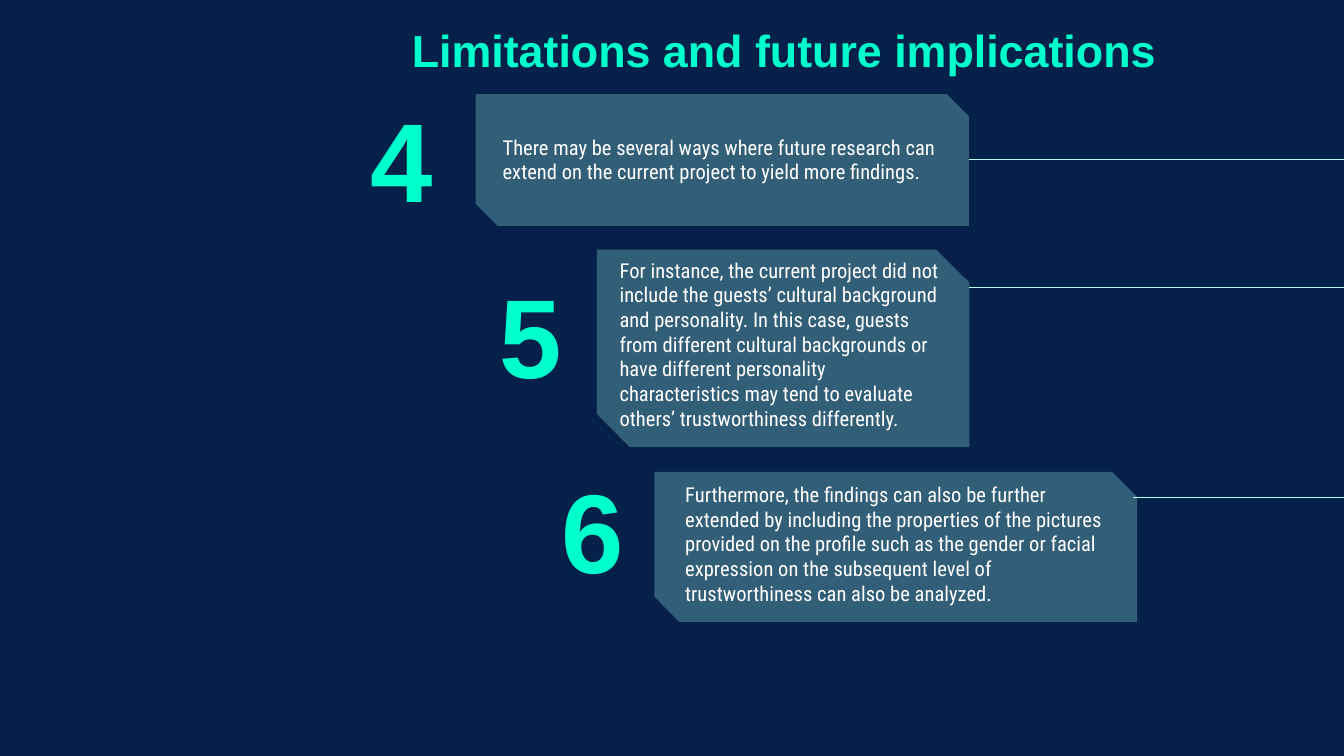
from lxml import etree
from pptx import Presentation
from pptx import util as u
from pptx.dml import color
from pptx.enum import shapes, text
from pptx.oxml import ns

MINT, AQUA, WHITE, NAVY = "00FFCD", "AAFFEE", "FFFFFF", "05214A"
WIDTH, HEIGHT = 25.4, 14.29
NUMBER_HEIGHT, BODY_HEIGHT = 2.11, 0.94
TOP, MIDDLE = text.MSO_ANCHOR.TOP, text.MSO_ANCHOR.MIDDLE
LEFT, CENTER, RIGHT = text.PP_ALIGN.LEFT, text.PP_ALIGN.CENTER, text.PP_ALIGN.RIGHT

HEADING = {"name": "Arial", "size": u.Pt(24), "bold": True}
NUMBER = {"name": "Arial", "size": u.Pt(60), "bold": True}
BODY = {"name": "Roboto Condensed", "size": u.Pt(11), "bold": False}

POINTS = [
    {
        "number": "4",
        "number_box": (4.06, 1.93, 4.37),
        "card": (8.99, 1.78, 9.32, 2.49),
        "body_box": (9.25, 2.54, 9.07),
        "anchor": MIDDLE,
        "line": (18.31, 3.01),
        "body": "There may be several ways where future research can extend on the "
                "current project to yield more findings.",
    },
    {
        "number": "5",
        "number_box": (5.97, 5.26, 4.9),
        "card": (11.28, 4.72, 7.04, 3.73),
        "body_box": (11.46, 4.62, 6.65),
        "anchor": TOP,
        "line": (18.31, 5.44),
        "body": "For instance, the current project did not include the guests’ cultural "
                "background and personality. In this case, guests from different cultural "
                "backgrounds or have different personality characteristics may tend to "
                "evaluate others’ trustworthiness differently.",
    },
    {
        "number": "6",
        "number_box": (7.06, 8.94, 4.98),
        "card": (12.37, 8.92, 9.12, 2.84),
        "body_box": (12.7, 8.86, 8.79),
        "anchor": TOP,
        "line": (21.41, 9.4),
        "body": "Furthermore, the findings can also be further extended by including the "
                "properties of the pictures provided on the profile such as the gender or "
                "facial expression on the subsequent level of trustworthiness can also be "
                "analyzed.",
    },
]


def rgb(value):
    return color.RGBColor.from_string(value)


def lengths(*values):
    return [u.Cm(value) for value in values]


class SlideBuilder:
    def __init__(self, slide, background):
        self.slide = slide
        fill = slide.background.fill
        fill.solid()
        fill.fore_color.rgb = rgb(background)

    def add_text(self, box, content, style, ink, align, anchor):
        shape = self.slide.shapes.add_textbox(*lengths(*box))
        frame = shape.text_frame
        frame_format = {"word_wrap": True, "vertical_anchor": anchor}
        for side in ("left", "top", "right", "bottom"):
            frame_format[f"margin_{side}"] = u.Cm(0.25)
        for name, value in frame_format.items():
            setattr(frame, name, value)
        paragraph = frame.paragraphs[0]
        paragraph.alignment = align
        run = paragraph.add_run()
        run.text = content
        for name, value in style.items():
            setattr(run.font, name, value)
        run.font.color.rgb = rgb(ink)

    def add_card(self, box, tint, opacity):
        shape = self.slide.shapes.add_shape(
            shapes.MSO_SHAPE.SNIP_2_DIAG_RECTANGLE, *lengths(*box))
        shape.shadow.inherit = False
        shape.adjustments[0] = 0
        shape.adjustments[1] = 0.167
        shape.fill.solid()
        shape.fill.fore_color.rgb = rgb(tint)
        shape.line.fill.background()
        fill_color = shape.fill._xPr.find(ns.qn("a:solidFill"))[0]
        alpha = etree.SubElement(fill_color, ns.qn("a:alpha"))
        alpha.set("val", str(opacity * 1000))

    def add_line(self, start, y, ink):
        connector = self.slide.shapes.add_connector(
            shapes.MSO_CONNECTOR.STRAIGHT, *lengths(WIDTH, y, start, y))
        connector.line.color.rgb = rgb(ink)
        connector.line.width = u.Pt(0.75)
        etree.SubElement(connector._element.spPr, ns.qn("a:effectLst"))


def main():
    presentation = Presentation()
    presentation.slide_width, presentation.slide_height = lengths(WIDTH, HEIGHT)
    slide = presentation.slides.add_slide(presentation.slide_layouts[6])
    builder = SlideBuilder(slide, NAVY)

    builder.add_text((5.44, 0.18, 18.75, 2.62), "Limitations and future implications",
                     HEADING, MINT, CENTER, TOP)
    for point in POINTS:
        builder.add_line(*point["line"], AQUA)
        builder.add_text((*point["number_box"], NUMBER_HEIGHT), point["number"],
                         NUMBER, MINT, RIGHT, MIDDLE)
        builder.add_card(point["card"], AQUA, 28)
        builder.add_text((*point["body_box"], BODY_HEIGHT), point["body"],
                         BODY, WHITE, LEFT, point["anchor"])

    presentation.save("out.pptx")


if __name__ == "__main__":
    main()
